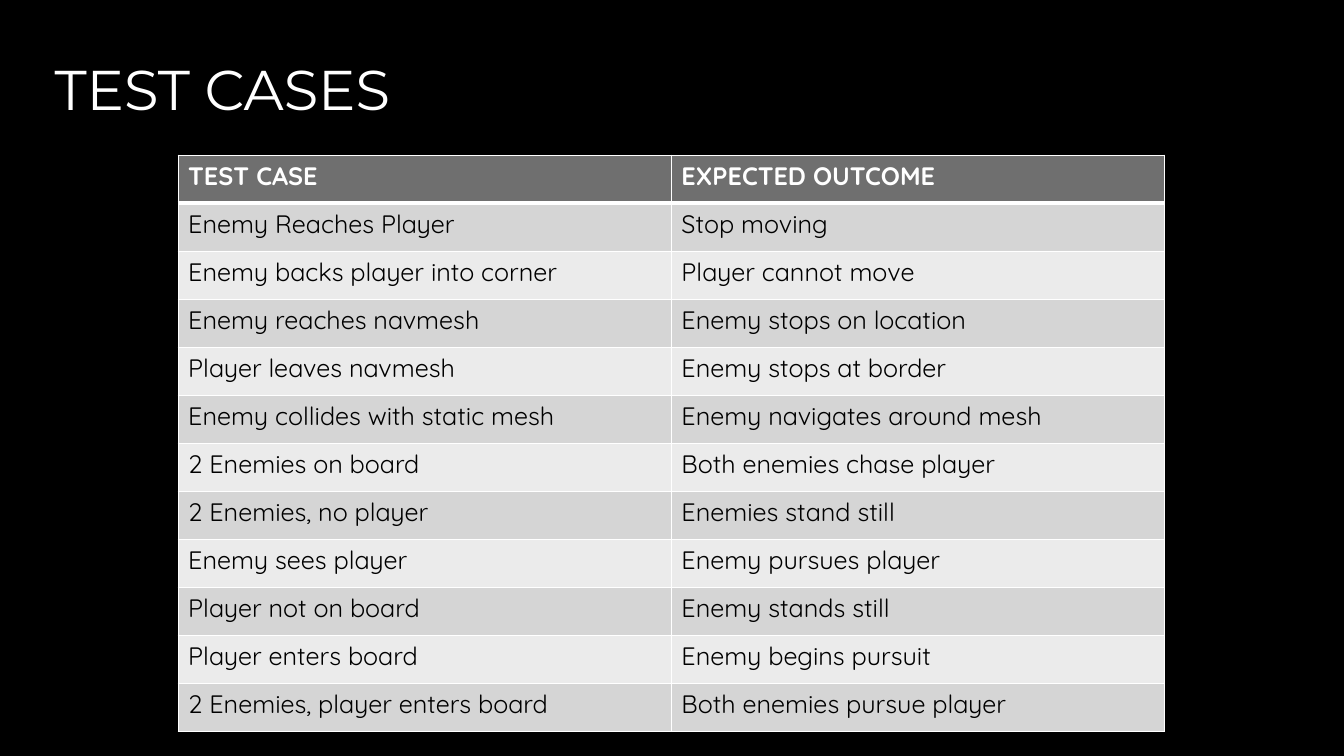
from lxml import etree
from pptx import Presentation
from pptx.dml.color import RGBColor
from pptx.enum.text import MSO_ANCHOR, PP_ALIGN
from pptx.oxml.ns import qn
from pptx.util import Cm, Pt

LEFT = PP_ALIGN.LEFT
MIDDLE = MSO_ANCHOR.MIDDLE

BLACK = "000000"
WHITE = "FFFFFF"
HEADER_GRAY = "6F6F6F"
BAND_GRAYS = ("EBEBEB", "D5D5D5")

TEST_CASES = [
    ("TEST CASE", "EXPECTED OUTCOME"),
    ("Enemy Reaches Player", "Stop moving"),
    ("Enemy backs player into corner", "Player cannot move"),
    ("Enemy reaches navmesh", "Enemy stops on location"),
    ("Player leaves navmesh", "Enemy stops at border"),
    ("Enemy collides with static mesh", "Enemy navigates around mesh"),
    ("2 Enemies on board", "Both enemies chase player"),
    ("2 Enemies, no player", "Enemies stand still"),
    ("Enemy sees player", "Enemy pursues player"),
    ("Player not on board", "Enemy stands still"),
    ("Player enters board", "Enemy begins pursuit"),
    ("2 Enemies, player enters board", "Both enemies pursue player"),
]


def rgb(hex_color):
    """Return the colour for a hex string."""
    return RGBColor.from_string(hex_color)


def style_font(font, name, size, color, bold=False):
    """Set typeface, size, colour and weight of a font."""
    font.name = name
    font.size = Pt(size)
    font.bold = bold
    font.color.rgb = rgb(color)


def add_title(slide, text):
    """Place and format the slide title."""
    title = slide.shapes.title
    title.left, title.top = Cm(1.12), Cm(-0.41)
    title.width, title.height = Cm(27.51), Cm(5.28)
    title.text_frame.text = text
    title.text_frame.vertical_anchor = MIDDLE
    heading = title.text_frame.paragraphs[0]
    heading.alignment = LEFT
    style_font(heading.font, "Montserrat", 40, WHITE)


def set_borders(cell, top=1, bottom=1):
    """Draw white borders of the given point widths around a cell."""
    properties = cell._tc.get_or_add_tcPr()
    widths = {"a:lnL": 1, "a:lnR": 1, "a:lnT": top, "a:lnB": bottom}
    for position, (tag, width) in enumerate(widths.items()):
        border = etree.Element(qn(tag), w=str(Pt(width)))
        fill = etree.SubElement(border, qn("a:solidFill"))
        etree.SubElement(fill, qn("a:srgbClr"), val=WHITE)
        properties.insert(position, border)


def fill_cell(cell, text, row_index):
    """Write a cell and style it as header or banded body."""
    is_header = row_index == 0
    cell.text = text
    cell.fill.solid()
    cell.fill.fore_color.rgb = rgb(HEADER_GRAY if is_header else BAND_GRAYS[row_index % 2])
    style_font(cell.text_frame.paragraphs[0].font, "Quicksand", 18,
               WHITE if is_header else BLACK, is_header)
    set_borders(cell, top=3 if row_index == 1 else 1, bottom=3 if is_header else 1)


def add_case_table(slide, cases):
    """Add the table of test cases and their expected outcomes."""
    column_width, row_height = Cm(12.43), Cm(1.21)
    table = slide.shapes.add_table(
        len(cases), 2, Cm(4.49), Cm(3.91),
        column_width * 2, row_height * len(cases)).table
    for column in table.columns:
        column.width = column_width
    for row_index, case in enumerate(cases):
        table.rows[row_index].height = row_height
        for column_index, text in enumerate(case):
            fill_cell(table.cell(row_index, column_index), text, row_index)


def main():
    """Build the test case slide."""
    presentation = Presentation()
    presentation.slide_width, presentation.slide_height = Cm(33.87), Cm(19.05)
    slide = presentation.slides.add_slide(presentation.slide_layouts[5])
    slide.background.fill.solid()
    slide.background.fill.fore_color.rgb = rgb(BLACK)
    add_title(slide, "TEST CASES")
    add_case_table(slide, TEST_CASES)
    presentation.save("out.pptx")


if __name__ == "__main__":
    main()
